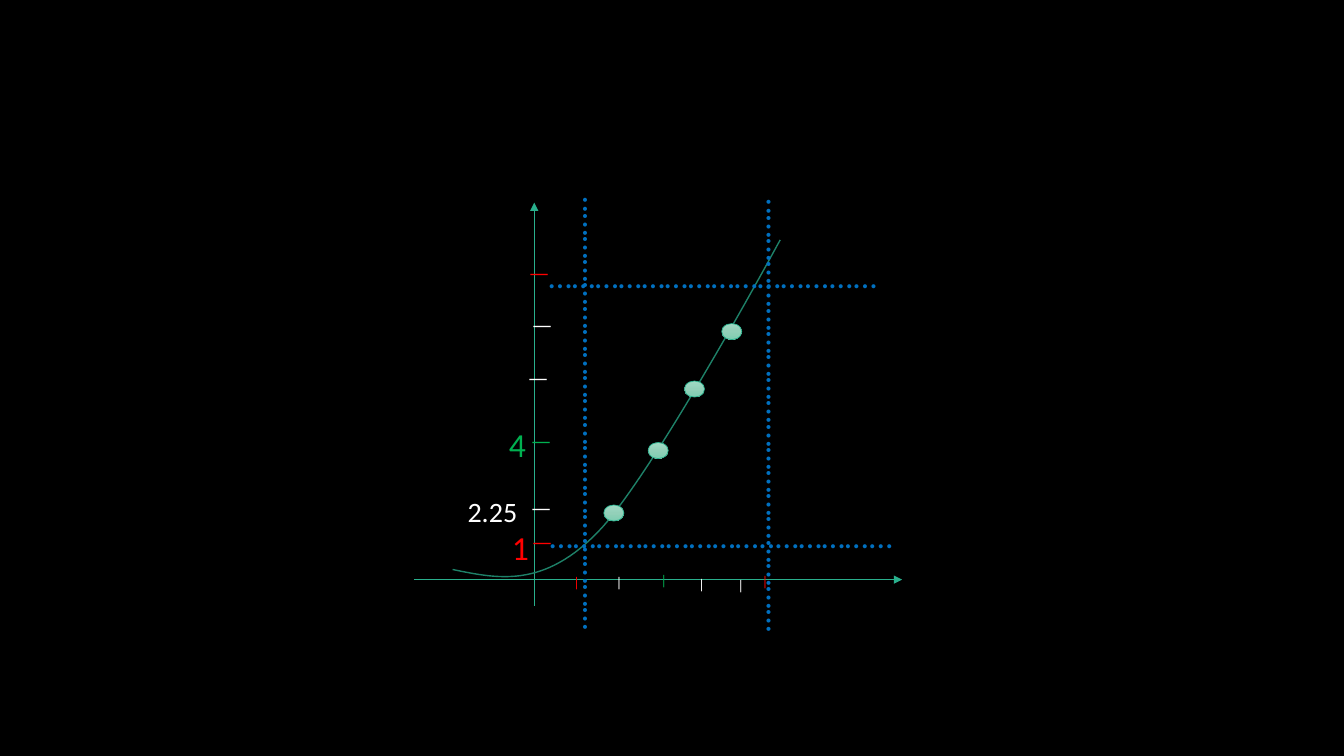
from copy import deepcopy

from lxml.etree import SubElement
from pptx import Presentation
from pptx.dml.color import RGBColor
from pptx.enum.shapes import MSO_CONNECTOR, MSO_SHAPE
from pptx.enum.text import MSO_AUTO_SIZE
from pptx.oxml.ns import qn
from pptx.util import Pt

RED, GREEN, WHITE, BLUE = "FF0000", "00B050", "FFFFFF", "0070C0"
AXIS, CURVE = "29AF8C", "1E8168"
DOT_GRADIENT = [(0, "A0DAC4"), (0.5, "93D0B9"), (1, "7ECDB1")]

X_TICKS = [
    (400.32, 406.08, 36, 19.44, RED, 10),
    (534.96, 405.36, 28.8, 19.44, RED, 10),
    (459.36, 390.96, 28.8, 36, GREEN, 24),
    (430.56, 406.08, 28.8, 19.44, WHITE, 10),
    (491.76, 395.28, 18, 31.68, WHITE, 10),
    (519.84, 396, 18, 31.68, WHITE, 10),
]
Y_TICKS = [
    (361.44, 176.4, RED),
    (363.6, 213.12, WHITE),
    (360.72, 251.28, WHITE),
    (362.88, 295.92, GREEN),
    (362.88, 344.16, WHITE),
    (363.6, 367.92, RED),
]
Y_LABELS = [
    ("1", (358.56, 372.96, 23.76, 36), 24, RED),
    ("4", (356.4, 299.52, 25.92, 36), 24, GREEN),
    ("2.25", (326.88, 349.92, 66.24, 31.68), 20, WHITE),
]
VERTICAL_DOTS = "……………………………………………….."
GUIDES = [
    ("………………………..…………...", (380.16, 364.32, 268.56, 36), 0),
    ("……………………………...…...", (379.44, 178.56, 257.76, 36), 0),
    (VERTICAL_DOTS, (242.64, 277.92, 334.08, 36), 270),
    (VERTICAL_DOTS, (373.68, 279.36, 334.08, 36), 270),
]
DOTS = [(431.28, 360.72), (462.96, 316.08), (488.88, 272.16), (515.52, 231.12)]
CURVE_SEGMENTS = [
    [(323.28, 406.8), (354.96, 413.28), (387.36, 420.48), (426.24, 380.88)],
    [(426.24, 380.88), (465.12, 342), (557.28, 171.36), (557.28, 171.36)],
]


def color(value):
    return RGBColor.from_string(value)


def points(values):
    return [Pt(value) for value in values]


def add_text(slide, text, box, size, fill, space_size=None, rotation=0, wrap=True):
    shape = slide.shapes.add_textbox(*points(box))
    shape.rotation = rotation
    frame = shape.text_frame
    frame.word_wrap = wrap
    frame.auto_size = MSO_AUTO_SIZE.SHAPE_TO_FIT_TEXT
    runs = [(text, size)]
    if space_size:
        runs.insert(0, (" ", space_size))
    for content, run_size in runs:
        run = frame.paragraphs[0].add_run()
        run.text = content
        run.font.name = "Calibri"
        run.font.size = Pt(run_size)
        run.font.color.rgb = color(fill)


def add_axis(slide, start, end):
    axis = slide.shapes.add_connector(MSO_CONNECTOR.STRAIGHT, *points(start + end))
    axis.line.color.rgb = color(AXIS)
    axis.line.width = Pt(0.5)
    SubElement(axis.line._get_or_add_ln(), qn("a:tailEnd"), type="triangle")
    SubElement(axis._element.spPr, qn("a:effectLst"))


def bezier_point(segment, t):
    weights = ((1 - t) ** 3, 3 * t * (1 - t) ** 2, 3 * t ** 2 * (1 - t), t ** 3)
    return tuple(
        Pt(sum(weight * point[axis] for weight, point in zip(weights, segment)))
        for axis in (0, 1)
    )


def add_curve(slide, segments, steps=30):
    vertices = [
        bezier_point(segment, step / steps)
        for segment in segments
        for step in range(1, steps + 1)
    ]
    builder = slide.shapes.build_freeform(*points(segments[0][0]))
    builder.add_line_segments(vertices, close=False)
    curve = builder.convert_to_shape()
    curve.shadow.inherit = False
    curve.fill.background()
    curve.line.color.rgb = color(CURVE)
    curve.line.width = Pt(1)


def add_dot(slide, left, top):
    dot = slide.shapes.add_shape(
        MSO_SHAPE.FLOWCHART_CONNECTOR, *points((left, top, 14.4, 11.52))
    )
    dot.shadow.inherit = False
    dot.fill.gradient()
    dot.fill.gradient_angle = 270
    first_stop = dot._element.spPr.find(".//" + qn("a:gs"))
    first_stop.addnext(deepcopy(first_stop))
    for stop, (position, value) in zip(dot.fill.gradient_stops, DOT_GRADIENT):
        stop.position = position
        stop.color.rgb = color(value)
    dot.line.color.rgb = color(AXIS)
    dot.line.width = Pt(0.5)


def main():
    presentation = Presentation()
    presentation.slide_width = Pt(960)
    presentation.slide_height = Pt(540)
    slide = presentation.slides.add_slide(presentation.slide_layouts[6])
    slide.background.fill.solid()
    slide.background.fill.fore_color.rgb = color("000000")

    add_axis(slide, (381.6, 432.72), (381.6, 144.72))
    add_axis(slide, (295.92, 414), (644.4, 414))
    for *box, fill, space_size in X_TICKS:
        add_text(slide, "|", box, 10, fill, space_size=space_size)
    for left, top, fill in Y_TICKS:
        add_text(slide, "|", (left, top, 36, 36), 14, fill, space_size=24, rotation=270)
    for text, box, size, fill in Y_LABELS:
        add_text(slide, text, box, size, fill)
    add_curve(slide, CURVE_SEGMENTS)
    for text, box, rotation in GUIDES:
        add_text(slide, text, box, 24, BLUE, space_size=24, rotation=rotation, wrap=False)
    for left, top in DOTS:
        add_dot(slide, left, top)

    presentation.save("out.pptx")


if __name__ == "__main__":
    main()
